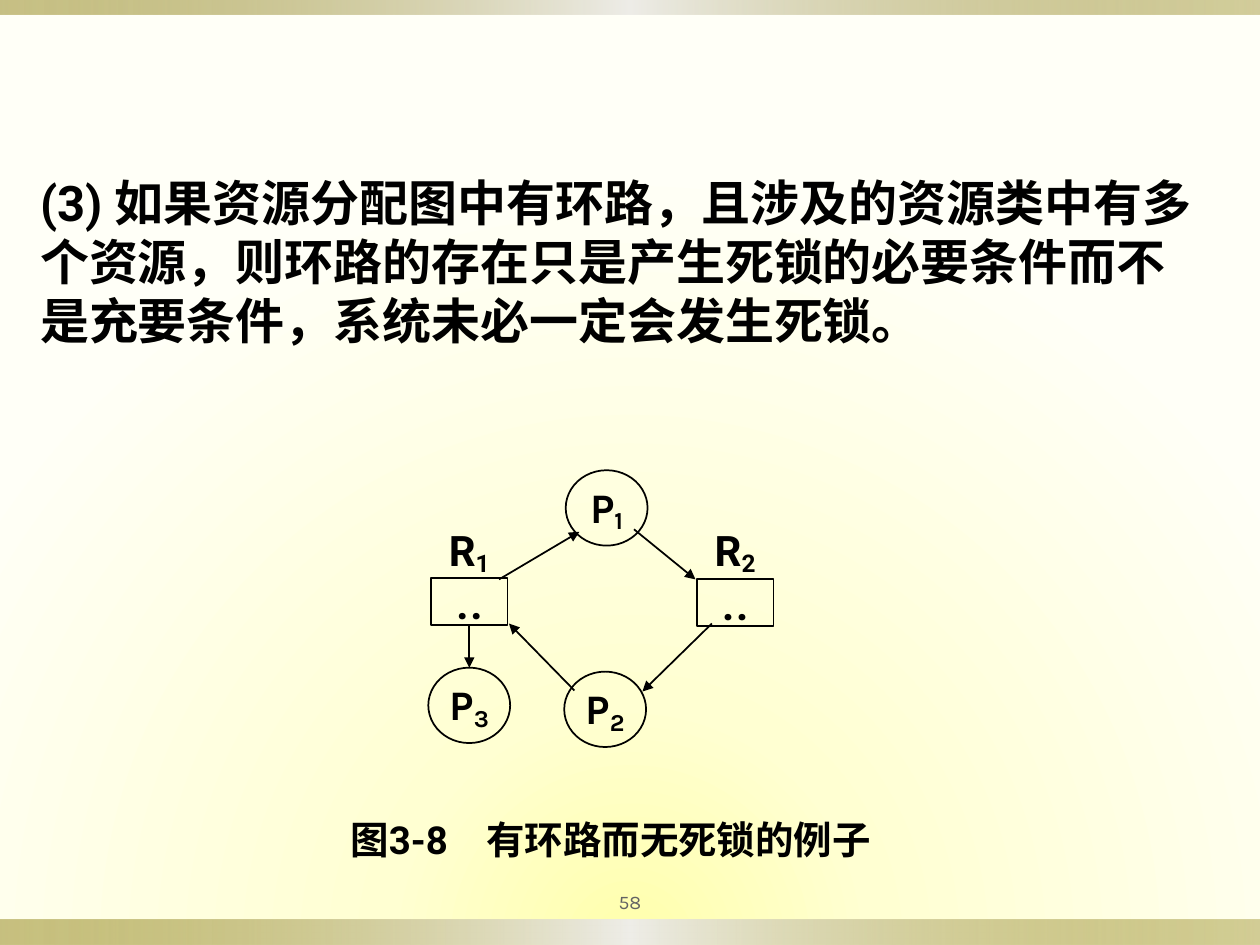
from dataclasses import dataclass

from lxml.etree import SubElement
from pptx import Presentation
from pptx.dml.color import RGBColor
from pptx.enum.shapes import MSO_CONNECTOR, MSO_SHAPE
from pptx.enum.text import MSO_ANCHOR, PP_ALIGN
from pptx.oxml import parse_xml
from pptx.oxml.ns import nsdecls, qn
from pptx.util import Cm, Pt

BLACK = "000000"
SLIDE_W, SLIDE_H = 25.4, 19.05


@dataclass
class Node:
    """A process (circle) or resource class (box), placed by its centre in cm."""
    letter: str
    index: str
    x: float
    y: float


@dataclass
class Arrow:
    start: tuple[float, float]
    end: tuple[float, float]


def color(hex_code: str) -> RGBColor:
    return RGBColor.from_string(hex_code)


def set_gradient(fill, owner, stops: list[tuple], direction: str) -> None:
    """Give a fill (position, colour, opacity) stops, all in percent."""
    fill.gradient()
    old = next(owner.iter(qn("a:gradFill")))
    stop_xml = "".join(
        f'<a:gs pos="{pos * 1000}"><a:srgbClr val="{code}">'
        f'<a:alpha val="{alpha * 1000}"/></a:srgbClr></a:gs>'
        for pos, code, alpha in stops)
    old.getparent().replace(old, parse_xml(
        f'<a:gradFill {nsdecls("a")} rotWithShape="1">'
        f'<a:gsLst>{stop_xml}</a:gsLst>{direction}</a:gradFill>'))


def format_run(run, size: float, font: str, code: str, bold: bool) -> None:
    run.font.size = Pt(size)
    run.font.name = font
    run.font.bold = bold
    run.font.color.rgb = color(code)


def lower(run) -> None:
    run.font._element.set("baseline", "-16000")


def add_text(slide, box: tuple, text: str, size: float, font: str = "Roboto",
             code: str = BLACK, bold: bool = True, align=PP_ALIGN.CENTER,
             subscript: str = ""):
    frame = slide.shapes.add_textbox(*map(Cm, box)).text_frame
    frame.word_wrap = True
    write(frame, text, size, font, code, bold, align, subscript)
    return frame


def write(frame, text: str, size: float, font: str, code: str, bold: bool,
          align, subscript: str) -> None:
    frame.text = text
    paragraph = frame.paragraphs[0]
    paragraph.alignment = align
    if subscript:
        index_run = paragraph.add_run()
        index_run.text = subscript
        lower(index_run)
    for run in paragraph.runs:
        format_run(run, size, font, code, bold)


def add_node(slide, kind, node: Node, width: float, height: float,
             text: str, subscript: str = ""):
    shape = slide.shapes.add_shape(
        kind, Cm(node.x - width / 2), Cm(node.y - height / 2), Cm(width), Cm(height))
    shape.shadow.inherit = False
    shape.fill.background()
    shape.line.color.rgb = color(BLACK)
    shape.line.width = Pt(1)
    frame = shape.text_frame
    frame.word_wrap = False
    frame.vertical_anchor = MSO_ANCHOR.MIDDLE
    frame.margin_left = frame.margin_right = Cm(0.15)
    frame.margin_top = frame.margin_bottom = Cm(0.03)
    write(frame, text, 24, "Karla", BLACK, True, PP_ALIGN.CENTER, subscript)
    return shape


def add_process(slide, node: Node):
    return add_node(slide, MSO_SHAPE.OVAL, node, 1.65, 1.52, node.letter, node.index)


def add_resource(slide, node: Node):
    box = add_node(slide, MSO_SHAPE.RECTANGLE, node, 1.55, 0.94, "• •")
    lower(box.text_frame.paragraphs[0].runs[0])
    add_text(slide, (node.x - 1.12, 10.44, 2.24, 1.27), node.letter, 24,
             subscript=node.index)
    return box


def add_arrow(slide, arrow: Arrow):
    line = slide.shapes.add_connector(
        MSO_CONNECTOR.STRAIGHT, *map(Cm, arrow.start + arrow.end))
    line.line.color.rgb = color(BLACK)
    line.line.width = Pt(1)
    SubElement(line.line._get_or_add_ln(), qn("a:tailEnd"), type="triangle")
    SubElement(line._element.spPr, qn("a:effectLst"))
    return line


def add_bar(slide, top: float, height: float) -> None:
    bar = slide.shapes.add_shape(
        MSO_SHAPE.RECTANGLE, Cm(0), Cm(top), Cm(SLIDE_W), Cm(height))
    bar.shadow.inherit = False
    bar.line.fill.background()
    set_gradient(bar.fill, bar._element,
                 [(0, "918415", 50), (50, "EEEDE8", 100), (100, "918415", 40)],
                 '<a:lin ang="0" scaled="0"/>')


def main() -> None:
    prs = Presentation()
    prs.slide_width, prs.slide_height = Cm(SLIDE_W), Cm(SLIDE_H)
    slide = prs.slides.add_slide(prs.slide_layouts[6])

    # Background glow and the two edge bars
    set_gradient(slide.background.fill, slide._element,
                 [(0, "FFFFAC", 100), (31, "FFFFD2", 100), (100, "FFFFF7", 100)],
                 '<a:path path="circle"><a:fillToRect l="50000" t="150000" '
                 'r="50000" b="0"/></a:path>')
    add_bar(slide, 18.54, 0.51)
    add_bar(slide, 0, 0.3)

    # Page number, statement and caption
    page = add_text(slide, (11.43, 17.78, 2.54, 0.79), "58", 11, "Karla", "636363", False)
    page.vertical_anchor = MSO_ANCHOR.MIDDLE
    page.margin_left = page.margin_right = Cm(0.13)
    add_text(slide, (0.56, 3.35, 24.1, 3.81),
             "(3) 如果资源分配图中有环路，且涉及的资源类中有多个资源，"
             "则环路的存在只是产生死锁的必要条件而不是充要条件，系统未必一定会发生死锁。",
             28, align=PP_ALIGN.LEFT)
    add_text(slide, (6.38, 16.33, 11.86, 1.19), "图3-8　有环路而无死锁的例子", 22)

    # Resource allocation graph
    add_process(slide, Node("P", "1", 12.23, 10.24))
    resource_1 = add_resource(slide, Node("R", "1", 9.46, 12.13))
    add_resource(slide, Node("R", "2", 14.82, 12.15))
    add_process(slide, Node("P", "2", 12.2, 14.3))
    process_3 = add_process(slide, Node("P", "3", 9.46, 14.22))

    # Requests and assignments
    for arrow in (Arrow((10.06, 11.68), (11.68, 10.72)),
                  Arrow((12.78, 10.67), (14.02, 11.68)),
                  Arrow((11.58, 13.92), (10.26, 12.57)),
                  Arrow((14.35, 12.57), (12.95, 13.94))):
        add_arrow(slide, arrow)
    assignment = add_arrow(slide, Arrow((9.46, 12.6), (9.46, 13.46)))
    assignment.begin_connect(resource_1, 2)
    assignment.end_connect(process_3, 0)

    prs.save("out.pptx")


if __name__ == "__main__":
    main()
